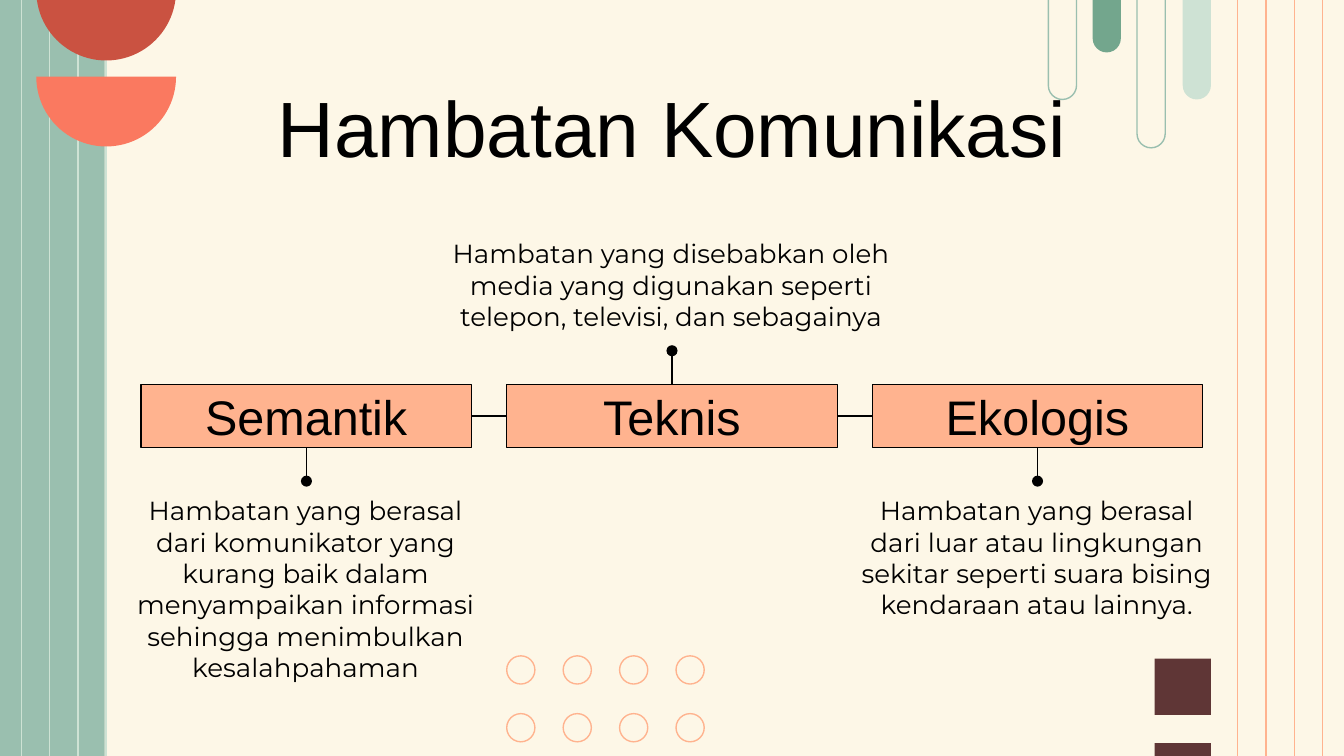
from pptx import Presentation
from pptx import util as u
from pptx.dml.color import RGBColor
from pptx.enum import shapes, text
from pptx.oxml.ns import qn
from lxml import etree

PX = 9144  # 100 px to the inch
W, H = 1000, 563

CREAM = RGBColor(0xFD, 0xF7, 0xE7)
SAGE = RGBColor(0x9A, 0xBF, 0xAF)
MINT = RGBColor(0xCE, 0xE2, 0xD4)
GREEN = RGBColor(0x73, 0xA6, 0x8D)
PEACH = RGBColor(0xFF, 0xB3, 0x8F)
RUST = RGBColor(0xCA, 0x52, 0x41)
CORAL = RGBColor(0xFA, 0x79, 0x60)
BROWN = RGBColor(0x5F, 0x36, 0x36)
BLACK = RGBColor(0, 0, 0)

MS = shapes.MSO_SHAPE
TOP, LEFT, BOTTOM, RIGHT = range(4)

prs = Presentation()
prs.slide_width = W * PX
prs.slide_height = W * PX * 9 // 16
s = prs.slides.add_slide(prs.slide_layouts[5])
s.background.fill.solid()
s.background.fill.fore_color.rgb = CREAM


def draw(kind, box, fill=None, line=None):
    """Add a shape, or a straight line when kind is None."""
    box = [v * PX for v in box]
    if kind is None:
        sp = s.shapes.add_connector(shapes.MSO_CONNECTOR.STRAIGHT, *box)
        etree.SubElement(sp._element.spPr, qn("a:effectLst"))
    else:
        sp = s.shapes.add_shape(kind, *box)
        sp.shadow.inherit = False
        if fill is None:
            sp.fill.background()
        else:
            sp.fill.solid()
            sp.fill.fore_color.rgb = fill
    if line is None:
        sp.line.fill.background()
    else:
        sp.line.color.rgb = line
        sp.line.width = u.Pt(0.75)
    return sp


def write(sp, words, size, name, anchor):
    tf = sp.text_frame
    frame = {"word_wrap": True, "auto_size": text.MSO_AUTO_SIZE.NONE,
             "vertical_anchor": anchor, "margin_left": 0, "margin_right": 0,
             "margin_top": 10 * PX, "margin_bottom": 10 * PX}
    for key, value in frame.items():
        setattr(tf, key, value)
    p = tf.paragraphs[0]
    p.alignment = text.PP_ALIGN.CENTER
    r = p.add_run()
    r.text = words
    for key, value in {"size": u.Pt(size), "name": name}.items():
        setattr(r.font, key, value)
    r.font.color.rgb = BLACK


# Left band and its stripes
draw(MS.RECTANGLE, (-5, 0, 83, H), SAGE)
for i in range(4):
    x = 16 + 21 * i
    draw(None, (x, 0, x, H), line=MINT)

# Right stripes
for i in range(4):
    x = 921 + 21 * i
    draw(None, (x, 0, x, H), line=PEACH)

# Ring grid
for row in range(2):
    for col in range(4):
        draw(MS.OVAL, (377 + 42 * col, 488 + 43 * row, 21, 21), line=PEACH)

# Corner squares
for y in (490, 553):
    draw(MS.RECTANGLE, (859, y, 42, 42), BROWN)

# Half circles
for y, color in ((-59, RUST), (5, CORAL)):
    sp = draw(MS.PIE, (27, y, 104, 104), color)
    sp.adjustments[0], sp.adjustments[1] = 0, 108

# Hanging pills
pills = [(780, -206, None, SAGE), (813, -241, GREEN, None),
         (846, -170, None, SAGE), (880, -206, MINT, None)]
for x, y, fill, line in pills:
    sp = draw(MS.ROUND_2_SAME_RECTANGLE, (x, y, 21, 280), fill, line)
    sp.adjustments[0] = sp.adjustments[1] = 0.5

# Title
title = s.shapes.title
for key, value in {"left": 105, "top": 59, "width": 790, "height": 70}.items():
    setattr(title, key, value * PX)
write(title, "Hambatan Komunikasi", 42, "Arial", text.MSO_ANCHOR.MIDDLE)

# Barriers: label, description, description top and width, stem side and end
barriers = [
    ("Semantik", "Hambatan yang berasal dari komunikator yang kurang baik dalam "
     "menyampaikan informasi sehingga menimbulkan kesalahpahaman",
     358, 263, BOTTOM, 358),
    ("Teknis", "Hambatan yang disebabkan oleh media yang digunakan seperti "
     "telepon, televisi, dan sebagainya", 167, 353, TOP, 261),
    ("Ekologis", "Hambatan yang berasal dari luar atau lingkungan sekitar "
     "seperti suara bising kendaraan atau lainnya.", 358, 263, BOTTOM, 358),
]
labels = []
for i, (label, words, top, width, side, stem_end) in enumerate(barriers):
    left = 105 + 272 * i
    mid = left + 123
    sp = draw(MS.RECTANGLE, (left, 286, 246, 47), PEACH, BLACK)
    write(sp, label, 26, "Arial", text.MSO_ANCHOR.MIDDLE)
    labels.append(sp)

    stem = draw(None, (mid, 286, mid, stem_end), line=BLACK)
    stem.begin_connect(sp, side)
    etree.SubElement(stem.line._get_or_add_ln(), qn("a:tailEnd"), type="oval")

    box = s.shapes.add_textbox((mid - width // 2 - 1) * PX, top * PX,
                               width * PX, 94 * PX)
    write(box, words, 14, "Montserrat", text.MSO_ANCHOR.TOP)

# Links between neighbouring labels
for a, b in zip(labels, labels[1:]):
    link = draw(None, (0, 309, 0, 309), line=BLACK)
    link.begin_connect(a, RIGHT)
    link.end_connect(b, LEFT)

prs.save("out.pptx")
